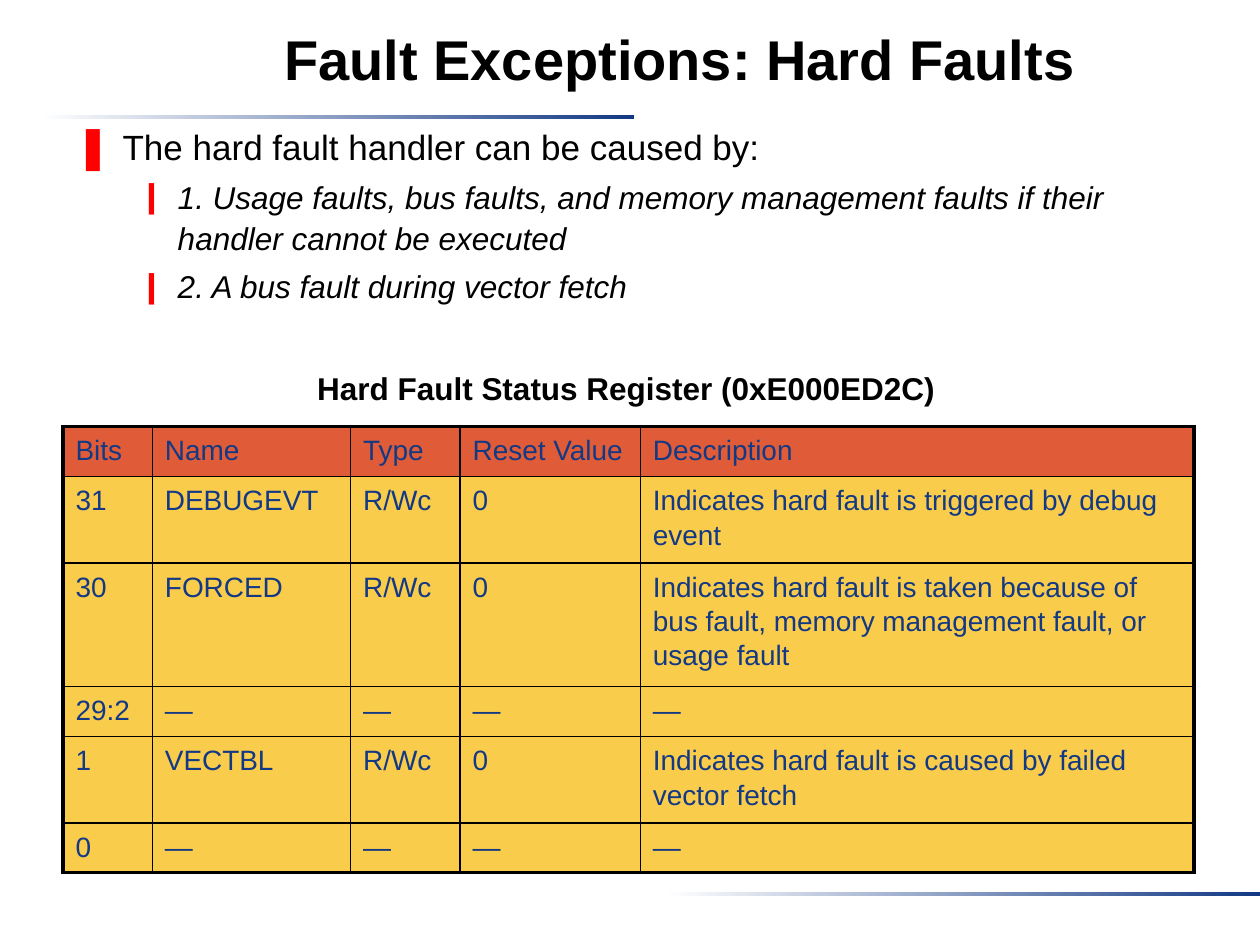
from dataclasses import dataclass

from lxml.etree import SubElement
from pptx import Presentation
from pptx.dml.color import RGBColor
from pptx.enum.shapes import MSO_SHAPE
from pptx.enum.text import MSO_ANCHOR, PP_ALIGN
from pptx.oxml.ns import qn
from pptx.util import Pt

# Content
TITLE = "Fault Exceptions: Hard Faults"
POINTS = [
    (0, "The hard fault handler can be caused by:"),
    (1, "1. Usage faults, bus faults, and memory management faults "
        "if their handler cannot be executed"),
    (1, "2. A bus fault during vector fetch"),
]
CAPTION = "Hard Fault Status Register (0xE000ED2C)"
ROWS = [
    ("Bits", "Name", "Type", "Reset Value", "Description"),
    ("31", "DEBUGEVT", "R/Wc", "0",
     "Indicates hard fault is triggered by debug event"),
    ("30", "FORCED", "R/Wc", "0",
     "Indicates hard fault is taken because of bus fault, "
     "memory management fault, or usage fault"),
    ("29:2", "—", "—", "—", "—"),
    ("1", "VECTBL", "R/Wc", "0",
     "Indicates hard fault is caused by failed vector fetch"),
    ("0", "—", "—", "—", "—"),
]


@dataclass(frozen=True)
class Theme:
    font: str = "Arial"
    black: str = "000000"
    white: str = "FFFFFF"
    navy: str = "133984"
    red: str = "FF0000"
    head: str = "E05C38"
    body: str = "FACC4C"
    title: float = 32
    lead: float = 20
    text: float = 18
    cell: float = 16
    leading: float = 1.1
    thick: float = 2.25
    thin: float = 1


T = Theme()

# Level: indent, hanging, space before, size, italic, bullet, bullet percent
LEVELS = [
    (27, 27, 12, T.lead, False, "❚", 120),
    (58.5, 22.5, 3.6, T.text, True, "❙", 100),
]
WIDTHS = [51.1, 113.3, 62.6, 103, 316.3]
HEIGHTS = {1: 28.6, 2: 49.4, 3: 70.6}  # by lines of text
LINES = [1, 2, 3, 1, 2, 1]
RULES = [(22.3, 65.7), (380.2, 509.9)]


def color(code):
    return RGBColor.from_string(code)


def style(para, size, tone, bold=False, slant=False):
    for run in para.runs:
        font = run.font
        font.name, font.size = T.font, Pt(size)
        font.bold, font.italic = bold, slant
        font.color.rgb = color(tone)


def bullet(para, sign, scale):
    props = para._p.get_or_add_pPr()
    tint = SubElement(props, qn("a:buClr"))
    SubElement(tint, qn("a:srgbClr"), val=T.red)
    SubElement(props, qn("a:buSzPct"), val=str(scale * 1000))
    SubElement(props, qn("a:buFont"), typeface=T.font)
    SubElement(props, qn("a:buChar"), char=sign)


def border(cell, sides):
    props = cell._tc.get_or_add_tcPr()
    for place, (side, width) in enumerate(sides.items()):
        line = props.makeelement(qn("a:ln" + side), {"w": str(Pt(width))})
        props.insert(place, line)  # borders come before the fill
        fill = SubElement(line, qn("a:solidFill"))
        SubElement(fill, qn("a:srgbClr"), val=T.black)


def box(slide, left, top, width, height):
    shape = slide.shapes.add_shape(
        MSO_SHAPE.RECTANGLE, Pt(left), Pt(top), Pt(width), Pt(height))
    shape.shadow.inherit = False
    shape.line.fill.background()
    return shape


def add_rules(slide):
    for left, top in RULES:
        fill = box(slide, left, top, 339.8, 2.2).fill
        fill.gradient()
        fill.gradient_angle = 0
        for stop, tone in zip(fill.gradient_stops, (T.white, T.navy)):
            stop.color.rgb = color(tone)


def add_points(slide):
    frame = slide.shapes.add_textbox(
        Pt(36), Pt(66), Pt(648), Pt(124.6)).text_frame
    frame.word_wrap = True
    frame.text = "\n".join(text for _, text in POINTS)
    for para, (level, _) in zip(frame.paragraphs, POINTS):
        indent, hang, gap, size, slant, sign, scale = LEVELS[level]
        para.level = level
        para.line_spacing, para.space_before = T.leading, Pt(gap)
        props = para._p.get_or_add_pPr()
        props.set("marL", str(Pt(indent)))
        props.set("indent", str(-Pt(hang)))
        bullet(para, sign, scale)
        style(para, size, T.black, slant=slant)


def add_caption(slide):
    # A little wider than its text, so that it stays on one line
    frame = slide.shapes.add_textbox(
        Pt(174.2), Pt(207.6), Pt(376), Pt(28.8)).text_frame
    frame.word_wrap = True
    frame.text = CAPTION
    style(frame.paragraphs[0], T.text, T.black, bold=True)


def add_grid(slide):
    highs = [HEIGHTS[count] for count in LINES]
    table = slide.shapes.add_table(
        len(ROWS), len(WIDTHS), Pt(36), Pt(243.6),
        Pt(sum(WIDTHS)), Pt(sum(highs))).table
    for col, width in zip(table.columns, WIDTHS):
        col.width = Pt(width)
    for row, high in zip(table.rows, highs):
        row.height = Pt(high)
    for r, texts in enumerate(ROWS):
        for c, text in enumerate(texts):
            cell = table.cell(r, c)
            cell.text = text
            cell.fill.solid()
            cell.fill.fore_color.rgb = color(T.body if r else T.head)
            para = cell.text_frame.paragraphs[0]
            para.line_spacing, para.space_before = T.leading, Pt(3.2)
            style(para, T.cell, T.navy)
            outer = {"L": c == 0, "R": c == len(WIDTHS) - 1,
                     "T": r == 0, "B": r == len(ROWS) - 1}
            border(cell, {side: T.thick if edge else T.thin
                          for side, edge in outer.items()})


def add_title(slide):
    shape = box(slide, 65.2, 9.4, 646.6, 51.1)
    shape.fill.solid()
    shape.fill.fore_color.rgb = color(T.white)
    frame = shape.text_frame
    frame.margin_top = Pt(4.3)
    frame.vertical_anchor = MSO_ANCHOR.TOP
    frame.text = TITLE
    para = frame.paragraphs[0]
    para.alignment = PP_ALIGN.CENTER
    style(para, T.title, T.black, bold=True)


def main():
    deck = Presentation()
    deck.slide_width, deck.slide_height = Pt(720), Pt(540)
    slide = deck.slides.add_slide(deck.slide_layouts[6])
    for part in (add_rules, add_points, add_caption, add_grid, add_title):
        part(slide)
    deck.save("out.pptx")


if __name__ == "__main__":
    main()
